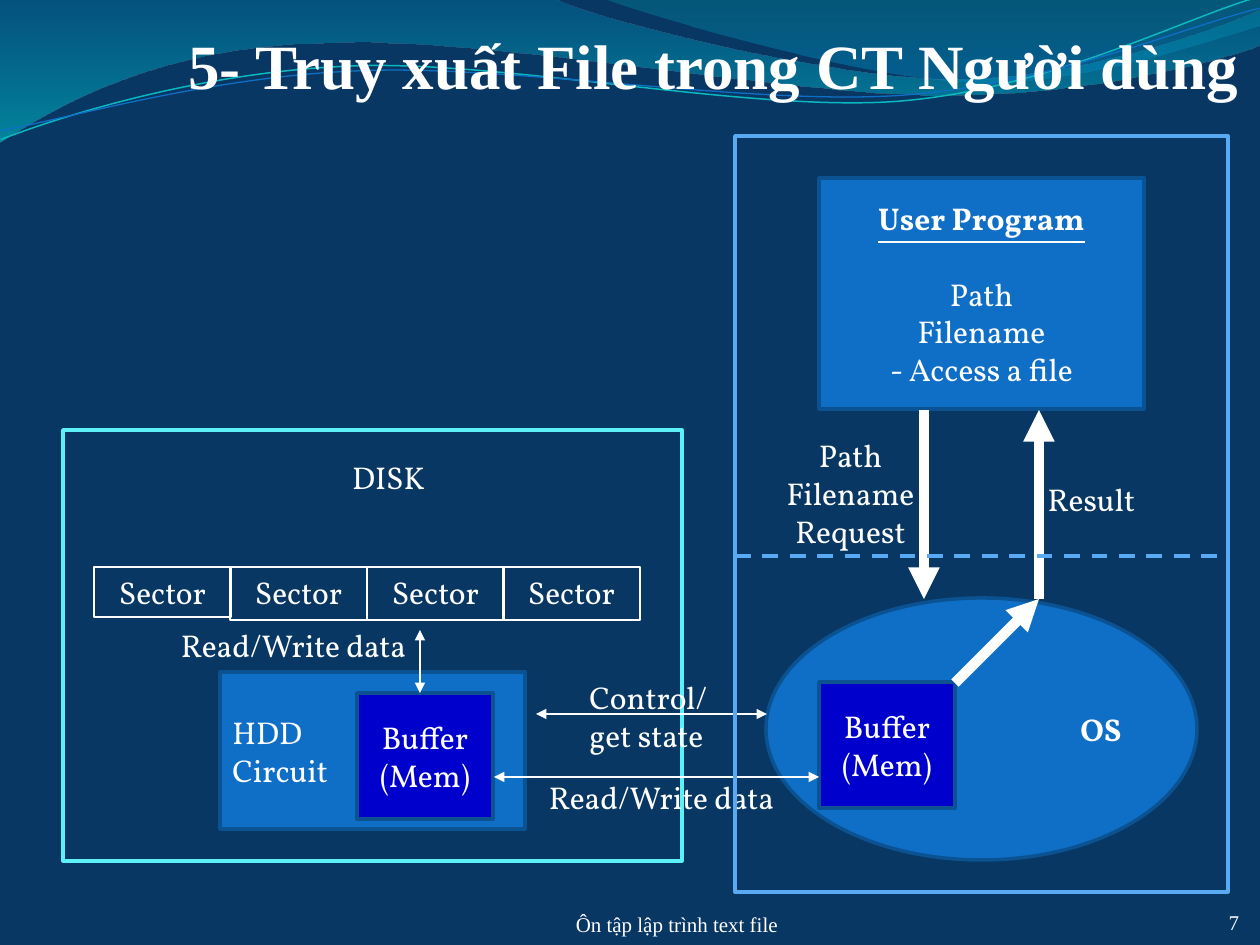
import pptx
import pptx.util
import pptx.dml.color
import pptx.enum.dml
import pptx.enum.shapes
import pptx.enum.text
import pptx.oxml
import pptx.oxml.ns
import lxml.etree

PX = 914400 / 126
WHITE, BLUE, EDGE, BUFFER = "FFFFFF", "0F6FC6", "0B5292", "0000CC"
SERIF = "Times New Roman"
RECT = pptx.enum.shapes.MSO_SHAPE.RECTANGLE
OVAL = pptx.enum.shapes.MSO_SHAPE.OVAL
ALIGN = {"l": pptx.enum.text.PP_ALIGN.LEFT, "c": pptx.enum.text.PP_ALIGN.CENTER,
         "r": pptx.enum.text.PP_ALIGN.RIGHT}
ANCHOR = {"t": pptx.enum.text.MSO_ANCHOR.TOP, "m": pptx.enum.text.MSO_ANCHOR.MIDDLE,
          "b": pptx.enum.text.MSO_ANCHOR.BOTTOM}

# Each wave is a start point, then steps: one point for a line, three for a curve.
UPPER_WAVE = [(0, 0), [(554, -1)],
              [(600, 21), (837, 79), (955, 79)], [(1075, 79), (1207, 33), (1260, 11)],
              [(1261, 45)],
              [(1239, 55), (1096, 96), (940, 95)], [(784, 95), (481, 35), (324, 43)],
              [(163, 45), (58, 105), (-1, 142)]]
RIGHT_WAVE = [(604, -1), [(641, 14), (859, 78), (969, 82)],
              [(1079, 87), (1211, 40), (1260, 26)], [(1260, 0)]]
# The strands are level here and tilted once drawn.
TILT = 357.3
TEAL_STRAND = [(-2, 110), [(58, 90), (199, 52), (350, 53)],
               [(499, 53), (745, 118), (896, 114)], [(1048, 109), (1184, 45), (1260, 27)]]
BLUE_STRAND = [(-2, 101), [(57, 94), (207, 57), (357, 58)],
               [(509, 58), (750, 112), (902, 108)], [(1052, 104), (1188, 52), (1262, 38)]]


def px(length):
    return pptx.util.Emu(round(length * PX))


def rgb(colour):
    return pptx.dml.color.RGBColor.from_string(colour)


def add_xml(parent, tag, **attributes):
    return lxml.etree.SubElement(parent, pptx.oxml.ns.qn(tag), **attributes)


def write(frame, text, size=18, font="Vollkorn", bold=False, align="c", anchor="t",
          insets=None):
    """Fill a text frame, one paragraph for each line of text."""
    frame.word_wrap = True
    frame.vertical_anchor = ANCHOR[anchor]
    if insets:
        (frame.margin_left, frame.margin_top,
         frame.margin_right, frame.margin_bottom) = map(px, insets)
    for number, line in enumerate(text.split("\n")):
        paragraph = frame.add_paragraph() if number else frame.paragraphs[0]
        paragraph.alignment = ALIGN[align]
        run = paragraph.add_run()
        run.text = line
        run.font.size = pptx.util.Pt(size)
        run.font.name = font
        run.font.bold = bold
        run.font.color.rgb = rgb(WHITE)
    return frame.paragraphs


def add_label(slide, box, text, **text_format):
    write(slide.shapes.add_textbox(*map(px, box)).text_frame, text, **text_format)


def add_block(slide, box, kind=RECT, fill=None, line=EDGE, width=2):
    block = slide.shapes.add_shape(kind, *map(px, box))
    block.shadow.inherit = False
    if fill:
        block.fill.solid()
        block.fill.fore_color.rgb = rgb(fill)
    else:
        block.fill.background()
    block.line.color.rgb = rgb(line)
    block.line.width = pptx.util.Pt(width)
    return block.text_frame


def add_line(slide, start, end, colour=WHITE, width=0.75, head=False, tail=False, dash=False):
    line = slide.shapes.add_connector(pptx.enum.shapes.MSO_CONNECTOR.STRAIGHT,
                                      *map(px, start + end))
    line.line.color.rgb = rgb(colour)
    line.line.width = pptx.util.Pt(width)
    if dash:
        line.line.dash_style = pptx.enum.dml.MSO_LINE.DASH
    stroke = line.line._get_or_add_ln()
    for tag, wanted in (("a:headEnd", head), ("a:tailEnd", tail)):
        if wanted:
            add_xml(stroke, tag, type="triangle")
    add_xml(line._element.spPr, "a:effectLst")


def add_wave(slide, outline, closed):
    """Freeform through the end of each step, its three-point steps bent into curves."""
    start, steps = outline[0], outline[1:]
    builder = slide.shapes.build_freeform(*map(px, start), scale=1.0)
    builder.add_line_segments([tuple(map(px, step[-1])) for step in steps], close=closed)
    wave = builder.convert_to_shape()
    wave.shadow.inherit = False
    segments = list(wave._element.spPr.iter(pptx.oxml.ns.qn("a:lnTo")))
    for segment, step in zip(segments, steps):
        if len(step) == 3:
            curve = lxml.etree.Element(pptx.oxml.ns.qn("a:cubicBezTo"))
            for x, y in step:
                add_xml(curve, "a:pt", x=str(px(x) - wave.left), y=str(px(y) - wave.top))
            segment.getparent().replace(segment, curve)
    return wave


def add_band(slide, outline, stops):
    """Closed wave with a downward gradient of (colour, position, opacity) stops."""
    band = add_wave(slide, outline, True)
    band.line.fill.background()
    band.fill.gradient()
    band.fill.gradient_angle = 270
    for stop, (colour, position, opacity) in zip(band.fill.gradient_stops, stops):
        stop.color.rgb = rgb(colour)
        stop.position = position
    colours = band._element.spPr.iter(pptx.oxml.ns.qn("a:srgbClr"))
    for element, (_, _, opacity) in zip(list(colours), stops):
        add_xml(element, "a:alpha", val=str(opacity * 1000))


def add_strand(slide, outline, colour, width):
    strand = add_wave(slide, outline, False)
    strand.rotation = TILT
    strand.fill.background()
    strand.line.color.rgb = rgb(colour)
    strand.line.width = pptx.util.Pt(width)


def add_backdrop(slide):
    slide.background.fill.solid()
    slide.background.fill.fore_color.rgb = rgb("083763")
    add_band(slide, UPPER_WAVE, [("0074A1", 0, 45), ("00C6CF", 1, 55)])
    add_band(slide, RIGHT_WAVE, [("00A1A9", 0, 30), ("008BBF", 0.8, 45)])
    add_strand(slide, TEAL_STRAND, "0AB8BF", 0.85)
    add_strand(slide, BLUE_STRAND, BLUE, 0.75)


def add_buffer(slide, left, top):
    write(add_block(slide, (left, top, 136, 126), fill=BUFFER), "Buffer\n(Mem)", anchor="m")


def add_disk(slide):
    for index in range(4):
        box = (94 + 273 * index // 2, 567, 137, 53 if index else 50)
        write(add_block(slide, box, line=WHITE, width=0.75), "Sector")
    circuit = add_block(slide, (220, 672, 305, 157), fill=BLUE)
    write(circuit, "HDD\nCircuit", align="l", anchor="m")
    add_buffer(slide, 357, 693)
    add_line(slide, (420, 630), (420, 693), head=True, tail=True)
    add_label(slide, (157, 620, 273, 50), "Read/Write data")
    add_label(slide, (252, 452, 273, 50), "DISK")
    add_block(slide, (63, 430, 619, 431), line="5EF0F7")


def add_system(slide):
    write(add_block(slide, (766, 598, 431, 262), kind=OVAL, fill=BLUE), "OS",
          bold=True, align="r", anchor="m")
    add_buffer(slide, 819, 682)


def add_disk_links(slide):
    add_line(slide, (767, 714), (536, 714), head=True, tail=True)
    add_label(slide, (577, 672, 147, 89), "Control/get state", align="l")
    add_line(slide, (819, 777), (494, 777), head=True, tail=True)
    add_label(slide, (525, 772, 273, 50), "Read/Write data")


def add_user_program(slide):
    program = add_block(slide, (819, 178, 325, 231), fill=BLUE)
    lines = write(program, "User Program\nPath\nFilename\n- Access a file", anchor="m")
    heading = lines[0].runs[0].font
    heading.bold = heading.underline = True
    lines[1].space_before = pptx.util.Pt(21.6)
    add_line(slide, (924, 410), (924, 599), width=6, tail=True)
    add_label(slide, (756, 430, 189, 127), "Path\nFilename\nRequest")
    add_label(slide, (997, 474, 189, 50), "Result")
    add_line(slide, (1039, 410), (1039, 599), width=6, head=True)
    add_block(slide, (735, 136, 493, 756), line="59AAF2")
    add_line(slide, (735, 556), (1228, 556), colour="59AAF2", width=2.25, dash=True)
    add_line(slide, (1039, 599), (955, 683), width=6, head=True)


def main():
    deck = pptx.Presentation()
    deck.slide_width, deck.slide_height = px(1260), px(945)
    slide = deck.slides.add_slide(deck.slide_layouts[6])
    add_backdrop(slide)
    add_label(slide, (63, 10, 1175, 92), "5- Truy xuất File trong CT Người dùng", size=36,
              font=SERIF, bold=True, align="r", anchor="b", insets=(0, 6, 0, 0))
    footer = dict(size=12, font=SERIF, anchor="b", insets=(0, 0, 0, 0))
    add_label(slide, (1166, 903, 73, 32), "7", align="r", **footer)
    add_label(slide, (367, 903, 620, 34), "Ôn tập lập trình text file", **footer)
    add_disk(slide)
    add_system(slide)
    add_disk_links(slide)
    add_user_program(slide)
    deck.save("out.pptx")


if __name__ == "__main__":
    main()
